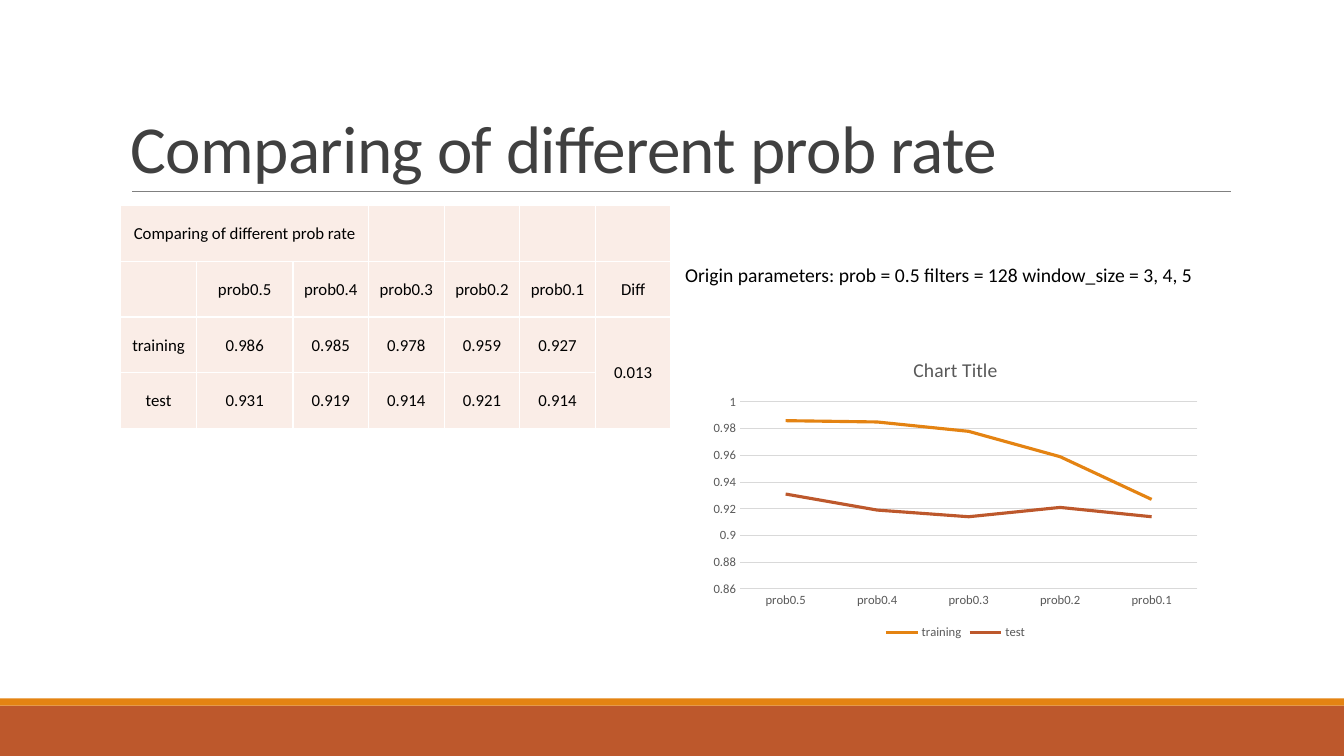
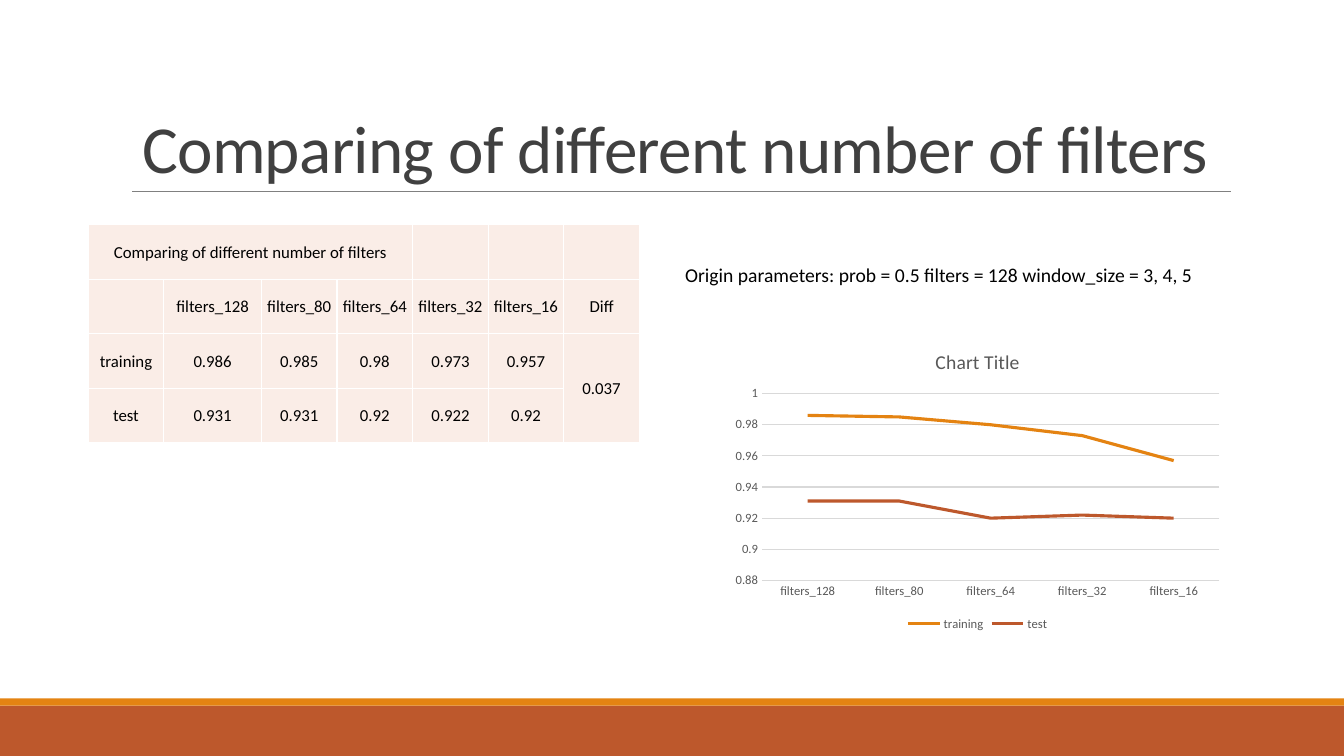
from lxml.etree import SubElement
from pptx import Presentation
from pptx.chart.data import CategoryChartData
from pptx.dml.color import RGBColor
from pptx.enum.chart import (XL_CHART_TYPE as ChartType, XL_LEGEND_POSITION as LegendPos,
                             XL_TICK_MARK as TickMark)
from pptx.enum.shapes import MSO_CONNECTOR as Connector, MSO_SHAPE as Shape
from pptx.enum.text import MSO_ANCHOR as Anchor, MSO_AUTO_SIZE as AutoSize, PP_ALIGN as Align
from pptx.oxml.ns import qn
from pptx.util import Emu, Pt

WHITE = RGBColor(0xFF, 0xFF, 0xFF)
BLACK = RGBColor(0x00, 0x00, 0x00)
ORANGE = RGBColor(0xE4, 0x83, 0x12)
RUST = RGBColor(0xBD, 0x58, 0x2C)
BLUSH = RGBColor(0xFA, 0xED, 0xE7)
TITLE_GRAY = RGBColor(0x40, 0x40, 0x40)
CHART_GRAY = RGBColor(0x59, 0x59, 0x59)
RULE_GRAY = RGBColor(0x80, 0x80, 0x80)
GRID_GRAY = RGBColor(0xD9, 0xD9, 0xD9)

FONT = "Calibri"
SERIES_COLORS = (ORANGE, RUST)
WIDTH, HEIGHT = 1280, 720
COL_WIDTH = 72


def px(n):
    return Emu(n * 9525)


def box(*lengths):
    return [px(n) for n in lengths]


def style_font(font, size, color):
    font.name, font.size, font.bold = FONT, Pt(size), False
    font.color.rgb = color


def style_line(line, color, width):
    line.color.rgb = color
    line.width = Pt(width)


def add_cell_borders(cell):
    tc_pr = cell._tc.get_or_add_tcPr()
    for side in ("lnL", "lnR", "lnT", "lnB"):
        ln = SubElement(tc_pr, qn("a:" + side), w=str(Pt(1)))
        fill = SubElement(ln, qn("a:solidFill"))
        SubElement(fill, qn("a:srgbClr"), val=str(WHITE))


class Deck:
    def __init__(self):
        self.prs = Presentation()
        self.prs.slide_width, self.prs.slide_height = box(WIDTH, HEIGHT)
        self.s = None

    def slide(self, title, align):
        """Start a slide with the bands, the title and the rule below it."""
        self.s = self.prs.slides.add_slide(self.prs.slide_layouts[5])
        self.band(672, 48, RUST)
        self.band(665, 7, ORANGE)
        self.title(title, align)
        self.rule(126, 1172, 182)

    def band(self, top, height, color):
        sp = self.s.shapes.add_shape(Shape.RECTANGLE, *box(0, top, WIDTH, height))
        sp.shadow.inherit = False
        sp.fill.solid()
        sp.fill.fore_color.rgb = color
        sp.line.fill.background()

    def title(self, text, align):
        sp = self.s.shapes.title
        sp.left, sp.top, sp.width, sp.height = box(115, 30, 1056, 153)
        tf = sp.text_frame
        tf.text = text
        tf.auto_size = AutoSize.NONE
        tf.vertical_anchor = Anchor.BOTTOM
        p = tf.paragraphs[0]
        p.alignment, p.line_spacing = align, 0.85
        style_font(p.font, 48, TITLE_GRAY)
        p.runs[0]._r.get_or_add_rPr().set("spc", "-50")

    def rule(self, left, right, y):
        line = self.s.shapes.add_connector(Connector.STRAIGHT, *box(left, y, right, y))
        style_line(line.line, RULE_GRAY, 0.5)
        SubElement(line._element.spPr, qn("a:effectLst"))

    def text(self, text, left, top, width, height):
        tf = self.s.shapes.add_textbox(*box(left, top, width, height)).text_frame
        tf.word_wrap = True
        tf.text = text
        style_font(tf.paragraphs[0].font, 14, BLACK)

    def table(self, rows, left, top, row_height, wide_col, heading_span):
        """Place rows; the heading spans columns and the last column joins two rows."""
        n_rows, n_cols = len(rows), len(rows[0])
        widths = [COL_WIDTH] * n_cols
        widths[1] = wide_col
        table = self.s.shapes.add_table(
            n_rows, n_cols, *box(left, top, sum(widths), n_rows * row_height)).table
        table.first_row = table.horz_banding = False
        for column, width in zip(table.columns, widths):
            column.width = px(width)
        for r, row in enumerate(rows):
            for c, value in enumerate(row):
                self.cell(table.cell(r, c), str(value))
        table.cell(0, 0).merge(table.cell(0, heading_span - 1))
        table.cell(2, n_cols - 1).merge(table.cell(3, n_cols - 1))

    def cell(self, cell, text):
        add_cell_borders(cell)
        cell.fill.solid()
        cell.fill.fore_color.rgb = BLUSH
        cell.vertical_anchor = Anchor.MIDDLE
        cell.margin_left = cell.margin_right = cell.margin_top = px(1)
        cell.margin_bottom = 0
        cell.text = text
        p = cell.text_frame.paragraphs[0]
        p.alignment = Align.CENTER
        style_font(p.font, 12, BLACK)

    def chart(self, cats, series, left, top, low):
        data = CategoryChartData()
        data.categories = cats
        for name, values in series.items():
            data.add_series(name, values)
        chart = self.s.shapes.add_chart(
            ChartType.LINE, *box(left, top, 480, 288), data).chart
        style_font(chart.font, 10, BLACK)

        chart.has_title = True
        tf = chart.chart_title.text_frame
        tf.text = "Chart Title"
        style_font(tf.paragraphs[0].font, 14, CHART_GRAY)
        chart.chart_title.include_in_layout = False

        chart.has_legend = True
        chart.legend.position = LegendPos.BOTTOM
        chart.legend.include_in_layout = False
        style_font(chart.legend.font, 9, CHART_GRAY)

        cat_axis, val_axis = chart.category_axis, chart.value_axis
        for axis in (cat_axis, val_axis):
            axis.major_tick_mark = axis.minor_tick_mark = TickMark.NONE
            style_font(axis.tick_labels.font, 9, CHART_GRAY)
        style_line(cat_axis.format.line, GRID_GRAY, 0.75)
        val_axis.format.line.fill.background()
        style_line(val_axis.major_gridlines.format.line, GRID_GRAY, 0.75)
        val_axis.minimum_scale, val_axis.maximum_scale = low, 1
        val_axis.major_unit = 0.02

        plot = chart.plots[0]
        plot.vary_by_categories = False
        for line, color in zip(plot.series, SERIES_COLORS):
            line.smooth = False
            style_line(line.format.line, color, 2.25)

    def comparison(self, title, align, cats, series, diff, table_layout, chart_layout):
        """Build a slide that shows the same results as a table and as a chart."""
        self.slide(title, align)
        training, test = series.items()
        rows = [
            [title] + [""] * (len(cats) + 1),
            ["", *cats, "Diff"],
            [training[0], *training[1], diff],
            [test[0], *test[1], ""],
        ]
        self.table(rows, **table_layout)
        self.chart(cats, series, **chart_layout)
        self.text("Origin parameters: prob = 0.5 filters = 128 window_size = 3, 4, 5",
                  643, 246, 630, 33)


def main():
    deck = Deck()
    deck.comparison(
        "Comparing of different prob rate", Align.LEFT,
        ["prob0.5", "prob0.4", "prob0.3", "prob0.2", "prob0.1"],
        {"training": [0.986, 0.985, 0.978, 0.959, 0.927],
         "test": [0.931, 0.919, 0.914, 0.921, 0.914]},
        0.013,
        dict(left=115, top=196, row_height=53, wide_col=92, heading_span=3),
        dict(left=670, top=325, low=0.86))
    deck.comparison(
        "Comparing of different number of filters", Align.CENTER,
        ["filters_128", "filters_80", "filters_64", "filters_32", "filters_16"],
        {"training": [0.986, 0.985, 0.98, 0.973, 0.957],
         "test": [0.931, 0.931, 0.92, 0.922, 0.92]},
        0.037,
        dict(left=84, top=214, row_height=52, wide_col=93, heading_span=4),
        dict(left=691, top=317, low=0.88))
    deck.prs.save("out.pptx")


if __name__ == "__main__":
    main()
